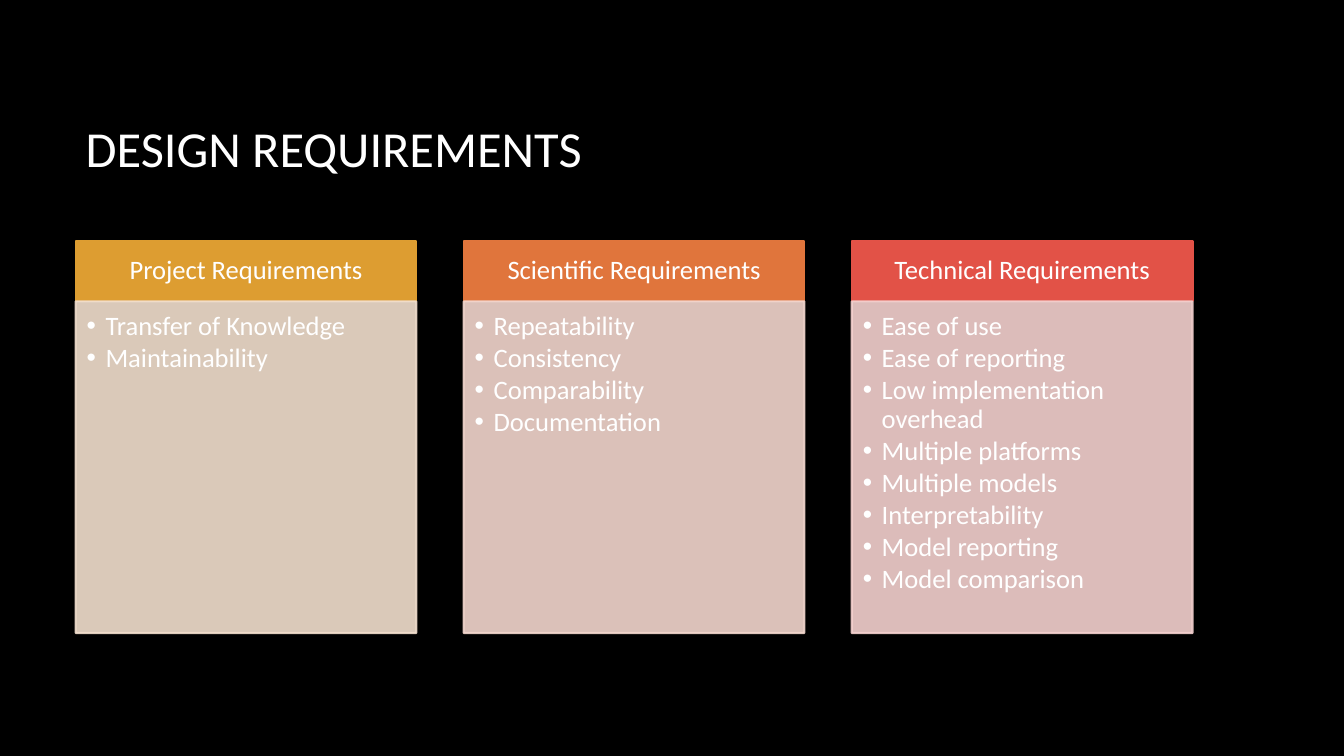
import pptx
import pptx.dml.color
import pptx.enum.shapes
import pptx.enum.text
import pptx.oxml
import pptx.oxml.ns
import pptx.util
from lxml import etree

Pt = pptx.util.Pt
ALIGN = pptx.enum.text.PP_ALIGN
ANCHOR = pptx.enum.text.MSO_ANCHOR

COLORS = {
    "background": "000000",
    "text": "FFFFFF",
    "project": "DD9D31",
    "project_body": "F2DFCE",
    "scientific": "E0753C",
    "scientific_body": "F3D7CE",
    "technical": "E25247",
    "technical_body": "F4D1CF",
}

REQUIREMENTS = [
    ("project", "Project Requirements", ["Transfer of Knowledge", "Maintainability"]),
    ("scientific", "Scientific Requirements",
     ["Repeatability", "Consistency", "Comparability", "Documentation"]),
    ("technical", "Technical Requirements",
     ["Ease of use", "Ease of reporting", "Low implementation overhead",
      "Multiple platforms", "Multiple models", "Interpretability",
      "Model reporting", "Model comparison"]),
]


def rgb(name):
    """Return the named colour."""
    return pptx.dml.color.RGBColor.from_string(COLORS[name])


def add_bullet(paragraph, indent):
    """Give the paragraph a round bullet with a hanging indent."""
    properties = paragraph._p.get_or_add_pPr()
    properties.set("marL", str(Pt(indent)))
    properties.set("indent", str(-Pt(indent)))
    font = etree.SubElement(properties, pptx.oxml.ns.qn("a:buFont"))
    font.set("typeface", "Arial")
    bullet = etree.SubElement(properties, pptx.oxml.ns.qn("a:buChar"))
    bullet.set("char", "•")


def write_text(shape, lines, size=19, align=ALIGN.LEFT, anchor=ANCHOR.TOP,
               insets=(7.2, 3.6, 7.2, 3.6), spacing=1.0, after=0, bullet_indent=0):
    """Write one paragraph per line into the shape."""
    frame = shape.text_frame
    frame.word_wrap = True
    frame.vertical_anchor = anchor
    (frame.margin_left, frame.margin_top,
     frame.margin_right, frame.margin_bottom) = map(Pt, insets)
    for index, line in enumerate(lines):
        paragraph = frame.add_paragraph() if index else frame.paragraphs[0]
        paragraph.alignment = align
        paragraph.line_spacing = spacing
        paragraph.space_after = Pt(after)
        if bullet_indent:
            add_bullet(paragraph, bullet_indent)
        run = paragraph.add_run()
        run.text = line
        run.font.name = "Calibri"
        run.font.size = Pt(size)
        run.font.color.rgb = rgb("text")


def add_panel(slide, box, color, opacity=100):
    """Add a rectangle whose fill and outline share a colour."""
    shape = slide.shapes.add_shape(
        pptx.enum.shapes.MSO_SHAPE.RECTANGLE, *map(Pt, box))
    shape.shadow.inherit = False
    shape.fill.solid()
    shape.fill.fore_color.rgb = rgb(color)
    shape.line.color.rgb = rgb(color)
    shape.line.width = Pt(1.5)
    if opacity < 100:
        for value in shape._element.spPr.iter(pptx.oxml.ns.qn("a:srgbClr")):
            alpha = etree.SubElement(value, pptx.oxml.ns.qn("a:alpha"))
            alpha.set("val", str(opacity * 1000))
    return shape


def add_title(slide, box, text):
    """Place and format the slide title."""
    title = slide.shapes.title
    title.left, title.top, title.width, title.height = map(Pt, box)
    write_text(title, [text], size=36, anchor=ANCHOR.MIDDLE)


def add_requirement_column(slide, box, color, heading, items):
    """Add a coloured heading above a panel of bulleted items."""
    left, top, width, height = box
    heading_height = 43.3
    header = add_panel(slide, (left, top, width, heading_height), color)
    write_text(header, [heading], align=ALIGN.CENTER, anchor=ANCHOR.MIDDLE,
               insets=(10.8, 5.8, 10.8, 5.8), spacing=0.9)
    body = add_panel(slide, (left, top + heading_height, width, height - heading_height),
                     color + "_body", opacity=90)
    write_text(body, items, insets=(7.9, 7.9, 10.8, 12.2), spacing=0.9,
               after=2.4, bullet_indent=13.5)


def add_requirement_columns(slide, box):
    """Spread the requirement columns evenly across the box."""
    left, top, width, height = box
    column_width = 243.4
    step = (width - column_width) / (len(REQUIREMENTS) - 1)
    for index, (color, heading, items) in enumerate(REQUIREMENTS):
        add_requirement_column(slide, (left + index * step, top, column_width, height),
                               color, heading, items)


def main():
    """Build and save the presentation."""
    presentation = pptx.Presentation()
    presentation.slide_width = Pt(960)
    presentation.slide_height = Pt(540)
    slide = presentation.slides.add_slide(presentation.slide_layouts[5])
    slide.background.fill.solid()
    slide.background.fill.fore_color.rgb = rgb("background")
    add_title(slide, (54, 48.2, 797.8, 114.5), "DESIGN REQUIREMENTS")
    add_requirement_columns(slide, (54, 172, 797.8, 280.2))
    presentation.save("out.pptx")


if __name__ == "__main__":
    main()
